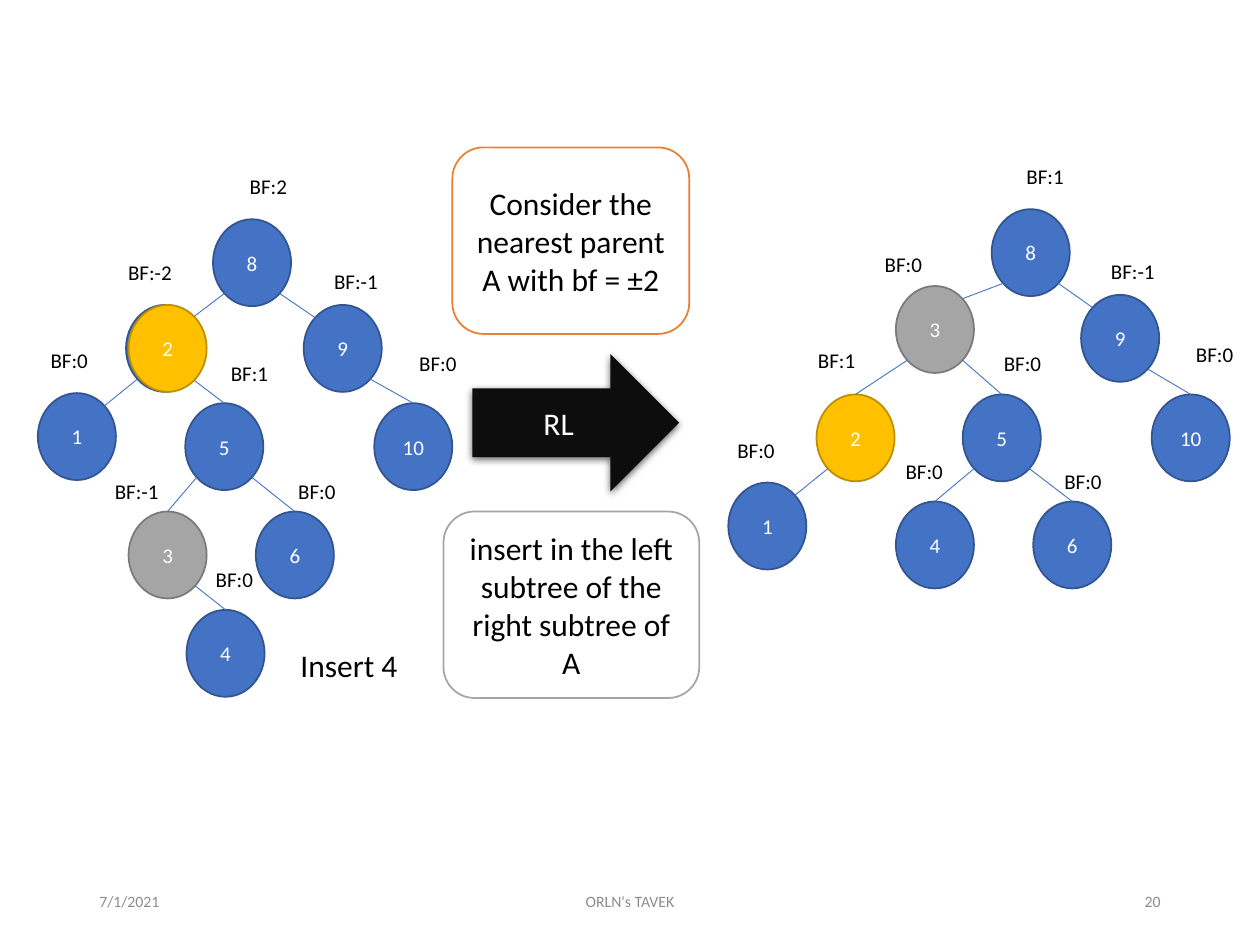
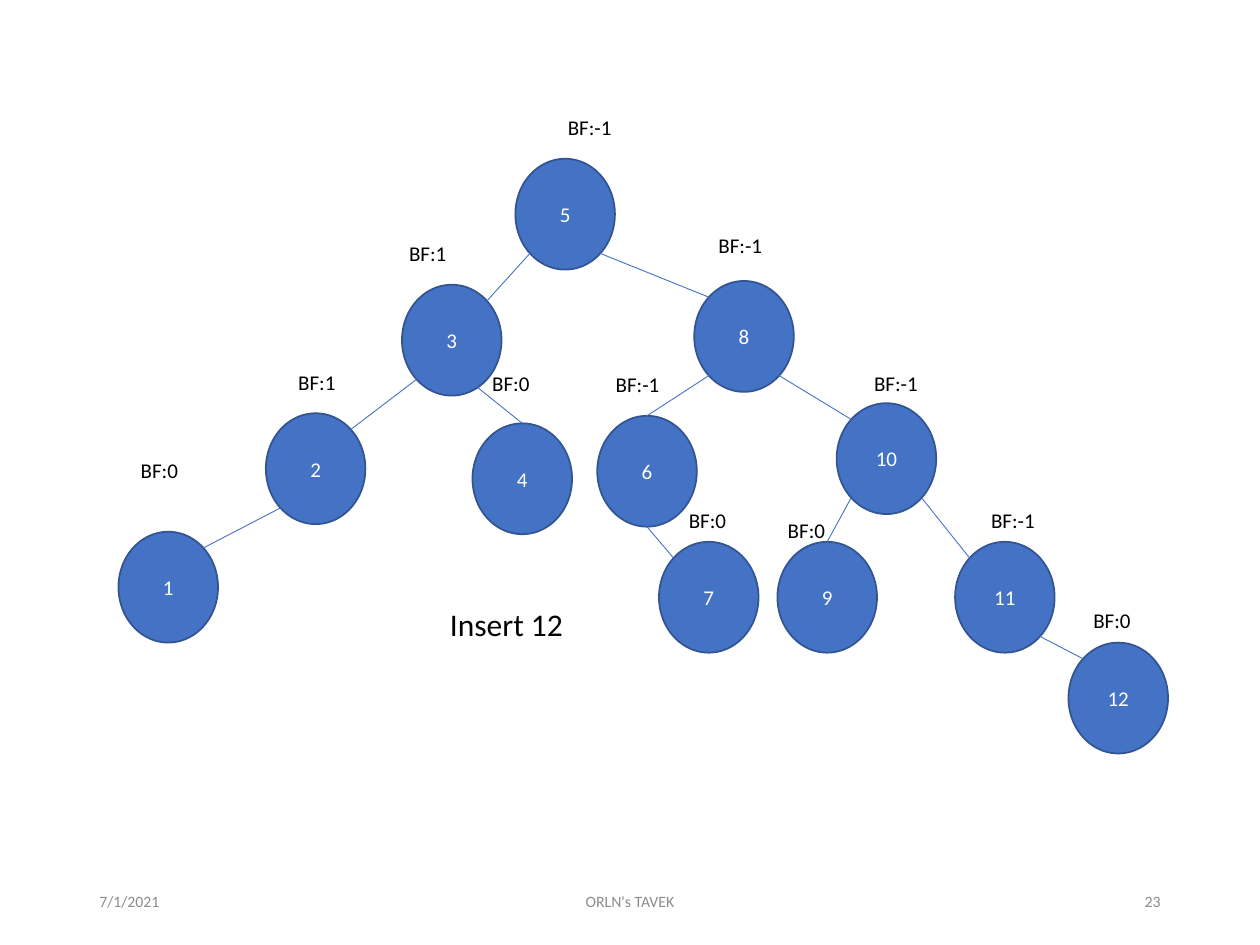
from dataclasses import dataclass
from lxml.etree import SubElement
from pptx import Presentation
from pptx.dml.color import RGBColor
from pptx.enum.shapes import MSO_CONNECTOR, MSO_SHAPE
from pptx.enum.text import MSO_ANCHOR, PP_ALIGN
from pptx.oxml.ns import qn
from pptx.util import Inches, Pt


@dataclass(frozen=True)
class Theme:
    """Colours as (fill, outline) pairs or single values, and type sizes in points."""
    font: str = "Calibri"
    blue: tuple = ("4472C4", "325491")
    gold: tuple = ("FFC000", "BD8E00")
    grey: tuple = ("A5A5A5", "7A7A7A")
    orange_box: tuple = ("FFFFFF", "ED7D31")
    grey_box: tuple = ("FFFFFF", "A5A5A5")
    arrow: tuple = ("0D0D0D", None)
    edge: str = "4472C4"
    dark: str = "000000"
    light: str = "FFFFFF"
    muted: str = "8C8C8C"
    big: int = 18
    small: int = 12
    tiny: int = 9
    outline: float = 1
    thin: float = 0.5


T = Theme()
NODE_SMALL = (0.62, 0.69)
NODE_LARGE = (0.79, 0.88)
DIAG = 0.146
TOP, BOTTOM = (0.5, 0), (0.5, 1)
TL, TR = (DIAG, DIAG), (1 - DIAG, DIAG)
BL, BR = (DIAG, 1 - DIAG), (1 - DIAG, 1 - DIAG)
FOOTER = "ORLN's TAVEK"

# Nodes: key -> (left, top, colours); edges: (parent, site, child, site);
# labels: (balance factor, left, top, width).
LEFT_TREE = dict(
    nodes={8: (1.69, 1.74, T.blue), 2: (1, 2.42, T.blue), 9: (2.41, 2.42, T.blue),
           1: (0.3, 3.12, T.blue), 5: (1.47, 3.2, T.blue), 10: (2.97, 3.2, T.blue),
           3: (1.02, 4.06, T.grey), 6: (2.03, 4.06, T.blue), 4: (1.48, 4.84, T.blue)},
    edges=[(8, BL, 2, TR), (8, BR, 9, TL), (2, BL, 1, TR), (2, BR, 5, TOP),
           (9, BR, 10, TOP), (5, BL, 3, TOP), (5, BR, 6, TOP), (3, BR, 4, TOP)],
    labels=[(2, 1.76, 1.33, 0.74), (-2, 0.83, 2.01, 0.72), (-1, 2.48, 2.08, 0.69),
            (0, 0.25, 2.71, 0.6), (1, 1.63, 2.81, 0.7), (0, 3.11, 2.73, 0.73),
            (-1, 0.75, 3.75, 0.67), (0, 2.11, 3.75, 0.81), (0, 1.56, 4.45, 0.6)])

RIGHT_TREE = dict(
    nodes={8: (7.87, 1.66, T.blue), 3: (7.11, 2.27, T.grey), 9: (8.58, 2.34, T.blue),
           2: (6.48, 3.13, T.gold), 5: (7.64, 3.13, T.blue), 10: (9.14, 3.13, T.blue),
           1: (5.78, 3.83, T.blue), 4: (7.11, 3.98, T.blue), 6: (8.2, 3.98, T.blue)},
    edges=[(8, BL, 3, TR), (8, BR, 9, TL), (3, BL, 2, TOP), (3, BR, 5, TOP),
           (9, BR, 10, TOP), (2, BL, 1, TR), (5, BL, 4, TOP), (5, BR, 6, TOP)],
    labels=[(1, 7.93, 1.25, 0.73), (0, 6.83, 1.95, 0.68), (-1, 8.65, 2, 0.68),
            (1, 6.25, 2.71, 0.78), (0, 7.81, 2.73, 0.61), (0, 9.28, 2.66, 0.72),
            (0, 5.67, 3.42, 0.66), (0, 7, 3.59, 0.67), (0, 8.28, 3.67, 0.63)])

FULL_TREE = dict(
    nodes={5: (4.09, 1.26, T.blue), 3: (3.19, 2.26, T.blue), 8: (5.51, 2.23, T.blue),
           2: (2.11, 3.28, T.blue), 4: (3.75, 3.36, T.blue), 6: (4.74, 3.3, T.blue),
           10: (6.64, 3.2, T.blue), 1: (0.94, 4.22, T.blue), 7: (5.23, 4.3, T.blue),
           9: (6.17, 4.3, T.blue), 11: (7.58, 4.3, T.blue), 12: (8.48, 5.1, T.blue)},
    edges=[(5, BL, 3, TR), (5, BR, 8, TL), (3, BL, 2, TR), (3, (0.71, 0.89), 4, TOP),
           (8, BL, 6, TOP), (8, BR, 10, TL), (2, BL, 1, TR), (6, BOTTOM, 7, TL),
           (10, BL, 9, TOP), (10, BR, 11, TL), (11, BR, 12, TL)],
    labels=[(-1, 4.19, 0.86, 0.98), (1, 3.09, 1.86, 0.61), (-1, 5.5, 1.8, 0.75),
            (1, 2.21, 2.88, 0.61), (0, 3.75, 2.89, 0.61), (-1, 4.67, 2.9, 0.78),
            (-1, 6.72, 2.89, 0.78), (0, 0.96, 3.58, 0.61), (0, 5.31, 3.98, 0.61),
            (0, 6.09, 4.06, 0.62), (-1, 7.66, 3.98, 0.76), (0, 8.52, 4.77, 0.61)])


def rgb(value):
    """Turn a hex string into a colour."""
    return RGBColor.from_string(value)


def write(tf, text, size, color, align=PP_ALIGN.CENTER, anchor=MSO_ANCHOR.MIDDLE):
    """Put one formatted run into a text frame."""
    tf.word_wrap = True
    tf.vertical_anchor = anchor
    p = tf.paragraphs[0]
    p.alignment = align
    r = p.add_run()
    r.text = text
    r.font.name = T.font
    r.font.size = Pt(size)
    r.font.color.rgb = rgb(color)


def add_text(shapes, box, text, size, color=T.dark, **layout):
    """Add a text box at (left, top, width, height)."""
    tb = shapes.add_textbox(*map(Inches, box))
    write(tb.text_frame, text, size, color, **layout)


def add_block(shapes, kind, box, colors, text, size, color):
    """Add a preset shape with centred text."""
    fill, outline = colors
    sp = shapes.add_shape(kind, *map(Inches, box))
    sp.shadow.inherit = False
    sp.fill.solid()
    sp.fill.fore_color.rgb = rgb(fill)
    if outline:
        sp.line.color.rgb = rgb(outline)
        sp.line.width = Pt(T.outline)
    else:
        sp.line.fill.background()
    write(sp.text_frame, text, size, color)
    return sp


def add_drop_shadow(sp):
    """Give a shape a soft shadow straight below it."""
    effects = sp._element.spPr.find(qn("a:effectLst"))
    shadow = SubElement(effects, qn("a:outerShdw"), blurRad=str(Pt(4.5)),
                        dist=str(Pt(1.5)), dir="5400000", algn="ctr", rotWithShape="0")
    black = SubElement(shadow, qn("a:srgbClr"), val=T.dark)
    SubElement(black, qn("a:alpha"), val="63000")


def add_node(shapes, key, left, top, colors, size):
    """Add one tree node."""
    return add_block(shapes, MSO_SHAPE.OVAL, (left, top, *size), colors,
                     str(key), T.small, T.light)


def site_point(sp, site):
    """Find the point at a fractional position within a shape."""
    return int(sp.left + sp.width * site[0]), int(sp.top + sp.height * site[1])


def add_edge(shapes, parent, parent_site, child, child_site):
    """Draw the line from a child node up to its parent."""
    c = shapes.add_connector(MSO_CONNECTOR.STRAIGHT, *site_point(child, child_site),
                             *site_point(parent, parent_site))
    if child_site == TOP:
        c.begin_connect(child, 0)
    c.line.color.rgb = rgb(T.edge)
    c.line.width = Pt(T.thin)
    SubElement(c._element.spPr, qn("a:effectLst"))


def add_tree(shapes, size, nodes, edges, labels):
    """Draw the nodes, edges and balance factors of a tree."""
    placed = {key: add_node(shapes, key, *node, size) for key, node in nodes.items()}
    for parent, parent_site, child, child_site in edges:
        add_edge(shapes, placed[parent], parent_site, placed[child], child_site)
    for factor, left, top, width in labels:
        add_text(shapes, (left, top, width, 0.3), f"BF:{factor}", T.small,
                 anchor=MSO_ANCHOR.TOP)


def add_caption(shapes, left, top, text):
    """Name the insertion that a tree shows."""
    add_text(shapes, (left, top, 1.88, 0.4), text, T.big, anchor=MSO_ANCHOR.TOP)


def add_footer(shapes, number):
    """Add the date, owner and slide number."""
    for left, width, text, align in ((0.69, 2.25, "7/1/2021", PP_ALIGN.LEFT),
                                     (3.31, 3.38, FOOTER, PP_ALIGN.CENTER),
                                     (7.06, 2.25, str(number), PP_ALIGN.RIGHT)):
        add_text(shapes, (left, 6.95, width, 0.4), text, T.tiny, T.muted, align=align)


def add_slide(prs, number):
    """Add a blank slide with its footer and return its shapes."""
    s = prs.slides.add_slide(prs.slide_layouts[6])
    add_footer(s.shapes, number)
    return s.shapes


def build_rotation(prs):
    """Show the RL rotation after inserting 4."""
    shapes = add_slide(prs, 20)
    arrow = add_block(shapes, MSO_SHAPE.RIGHT_ARROW, (3.75, 2.81, 1.64, 1.09),
                      T.arrow, "RL", T.big, T.light)
    add_drop_shadow(arrow)
    for box, colors, text in (
            ((3.59, 1.17, 1.88, 1.48), T.orange_box,
             "Consider the nearest parent A with bf = ±2"),
            ((3.52, 4.06, 2.03, 1.48), T.grey_box,
             "insert in the left subtree of the right subtree of A")):
        add_block(shapes, MSO_SHAPE.ROUNDED_RECTANGLE, box, colors, text, T.big, T.dark)
    add_caption(shapes, 1.83, 5.08, "Insert 4")
    add_tree(shapes, NODE_SMALL, **LEFT_TREE)
    add_node(shapes, 2, 1.02, 2.42, T.gold, NODE_SMALL)
    add_tree(shapes.add_group_shape().shapes, NODE_SMALL, **RIGHT_TREE)


def build_insertion(prs):
    """Show the balanced tree after inserting 12."""
    shapes = add_slide(prs, 23)
    add_caption(shapes, 3.08, 4.75, "Insert 12")
    add_tree(shapes, NODE_LARGE, **FULL_TREE)


def main():
    """Build and save the slides."""
    prs = Presentation()
    prs.slide_width, prs.slide_height = Inches(10), Inches(7.5)
    build_rotation(prs)
    build_insertion(prs)
    prs.save("out.pptx")


if __name__ == "__main__":
    main()
